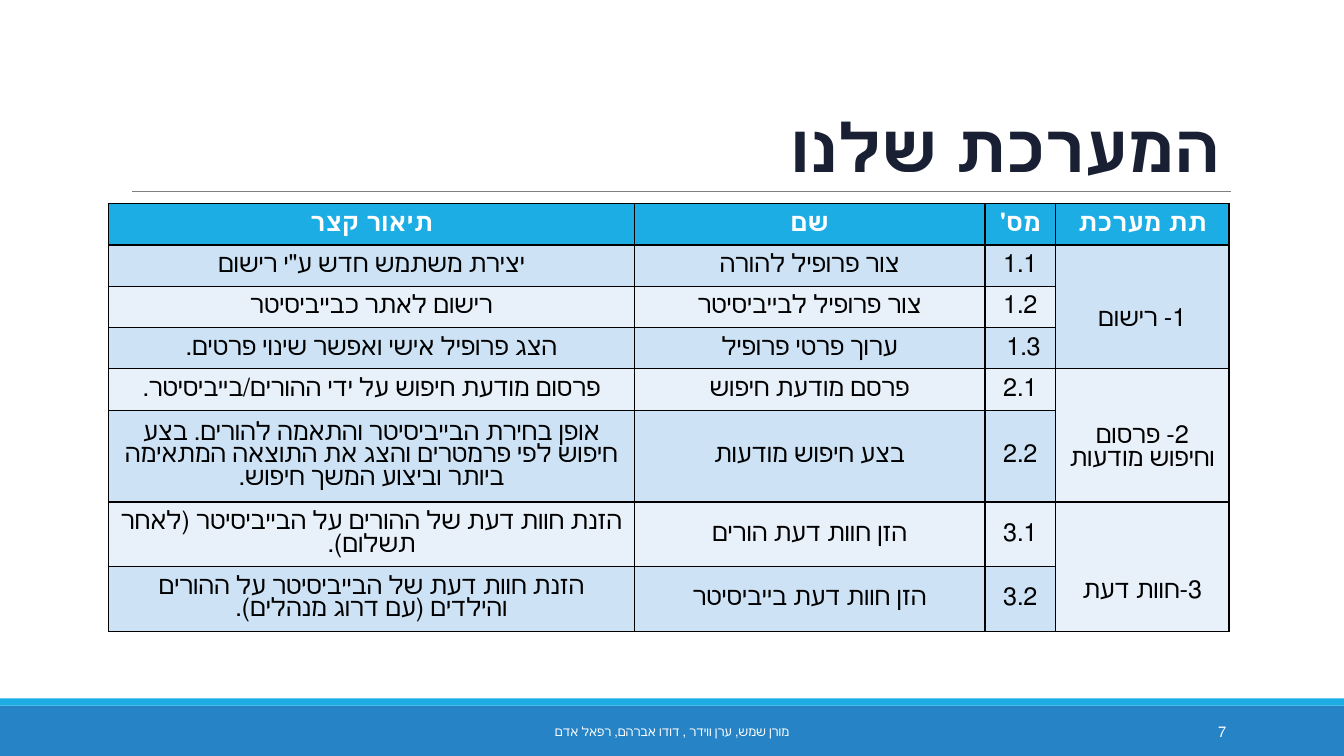
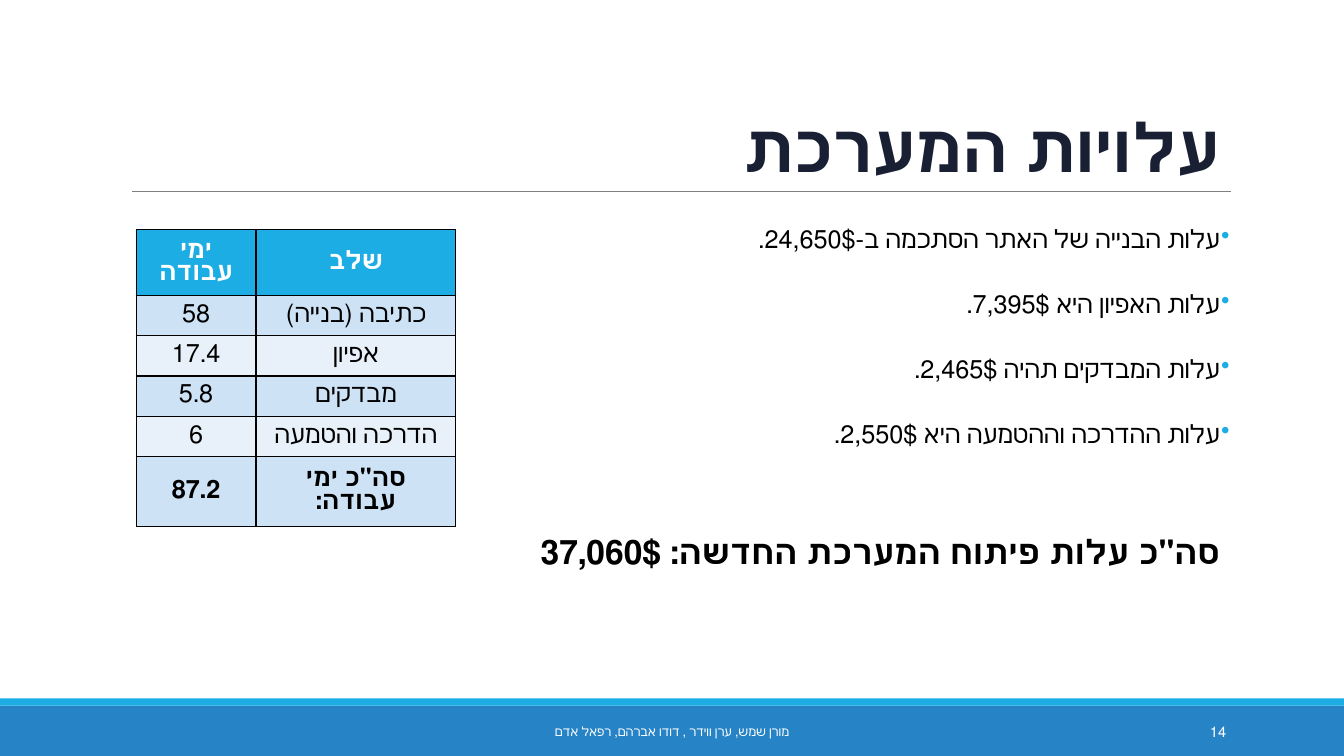
"""Build two right-to-left slides: a table of subsystem functions and the system's costs."""
import pptx
import pptx.dml.color
import pptx.enum.shapes
import pptx.enum.text
import pptx.oxml
import pptx.oxml.ns
import pptx.util

WIDTH, HEIGHT = 13.33, 7.5
MARGIN, CONTENT_WIDTH = 1.2, 11
FONT = "Arial"
BLUE, SKY, PALE, PALER = "2683C6", "1CADE4", "CDE3F5", "E8F1FA"
NAVY, GREY, BLACK, WHITE = "1A2034", "808080", "000000", "FFFFFF"
LINE = 0.25

FOOTER = "מורן שמש, ערן ווידר , דודו אברהם, רפאל אדם"

FUNCTIONS = {
    "place": (1.08, 2.02),
    "columns": (5.21, 3.48, 0.7, 1.72),
    "heights": (0.41,) * 5 + (0.85, 0.6, 0.6),
    "rows": [
        ("תיאור קצר", "שם", "מס'", "תת מערכת"),
        ("יצירת משתמש חדש ע\"י רישום", "צור פרופיל להורה", "1.1", "1- רישום"),
        ("רישום לאתר כבייביסיטר", "צור פרופיל לבייביסיטר", "1.2", ""),
        ("הצג פרופיל אישי ואפשר שינוי פרטים.", "ערוך פרטי פרופיל", "1.3 ", ""),
        ("פרסום מודעת חיפוש על ידי ההורים/בייביסיטר.", "פרסם מודעת חיפוש", "2.1",
         "2- פרסום וחיפוש מודעות"),
        ("אופן בחירת הבייביסיטר והתאמה להורים. בצע חיפוש לפי פרמטרים והצג את התוצאה "
         "המתאימה ביותר וביצוע המשך חיפוש.", "בצע חיפוש מודעות", "2.2", ""),
        ("הזנת חוות דעת של ההורים על הבייביסיטר (לאחר תשלום).", "הזן חוות דעת הורים",
         "3.1", "3-חוות דעת"),
        ("הזנת חוות דעת של הבייביסיטר על ההורים והילדים (עם דרוג מנהלים).",
         "הזן חוות דעת בייביסיטר", "3.2", ""),
    ],
    "bold_rows": {0},
    "groups": [(1, 3, 1), (4, 5, 1), (6, 7, 2)],
}

WORK_DAYS = {
    "place": (1.35, 2.28),
    "columns": (1.19, 1.98),
    "heights": (0.65, 0.4, 0.4, 0.4, 0.4, 0.69),
    "rows": [
        ("ימי עבודה", "שלב"),
        ("58", "כתיבה (בנייה)"),
        ("17.4", "אפיון"),
        ("5.8", "מבדקים"),
        ("6", "הדרכה והטמעה"),
        ("87.2", "סה\"כ ימי עבודה:"),
    ],
    "bold_rows": {0, 5},
    "groups": [],
}

COSTS = [
    "עלות הבנייה של האתר הסתכמה ב-24,650$.",
    "עלות האפיון היא 7,395$.",
    "עלות המבדקים תהיה 2,465$.",
    "עלות ההדרכה וההטמעה היא 2,550$.",
]
TOTAL_COST = "סה\"כ עלות פיתוח המערכת החדשה: 37,060$"

SLIDES = [
    {"title": "המערכת שלנו", "number": "7", "table": FUNCTIONS, "costs": []},
    {"title": "עלויות המערכת", "number": "14", "table": WORK_DAYS, "costs": COSTS},
]

ALIGN = pptx.enum.text.PP_ALIGN
ANCHOR = pptx.enum.text.MSO_ANCHOR
inches, points = pptx.util.Inches, pptx.util.Pt


def rgb(color):
    return pptx.dml.color.RGBColor.from_string(color)


def assign(target, values):
    for name, value in values.items():
        setattr(target, name, value)


def add_xml(parent, tag, **attributes):
    node = pptx.oxml.parse_xml(f"<a:{tag} {pptx.oxml.ns.nsdecls('a')}/>")
    for name, value in attributes.items():
        node.set(name, str(value))
    parent.append(node)
    return node


def write(paragraph, text, size, color, bold=False, tracking=None, **layout):
    assign(paragraph, layout)
    paragraph._p.get_or_add_pPr().set("rtl", "1")
    run = paragraph.add_run()
    run.text = text
    assign(run.font, {"size": points(size), "bold": bold, "name": FONT})
    run.font.color.rgb = rgb(color)
    properties = run.font._element
    properties.set("lang", "he-IL")
    if tracking is not None:
        properties.set("spc", str(round(tracking * 100)))


def add_text(slide, place, anchor=ANCHOR.MIDDLE, side=0.1):
    frame = slide.shapes.add_textbox(*map(inches, place)).text_frame
    assign(frame, {"word_wrap": True, "vertical_anchor": anchor,
                   "margin_left": inches(side), "margin_right": inches(side)})
    return frame


def add_band(slide, top, height, color):
    band = slide.shapes.add_shape(pptx.enum.shapes.MSO_SHAPE.RECTANGLE,
                                  *map(inches, (0, top, WIDTH, height)))
    band.shadow.inherit = False
    band.fill.solid()
    band.fill.fore_color.rgb = rgb(color)
    band.line.fill.background()


def add_frame(slide, title, number):
    add_band(slide, 7, 0.5, BLUE)
    add_band(slide, 6.93, 0.07, SKY)
    rule = slide.shapes.add_connector(pptx.enum.shapes.MSO_CONNECTOR.STRAIGHT,
                                      *map(inches, (1.31, 1.9, 12.21, 1.9)))
    rule.line.color.rgb = rgb(GREY)
    rule.line.width = points(0.5)
    add_xml(rule._element.spPr, "effectLst")
    heading = add_text(slide, (MARGIN, 0.31, CONTENT_WIDTH, 1.59), ANCHOR.BOTTOM)
    write(heading.paragraphs[0], title, 48, NAVY, True, -0.5,
          alignment=ALIGN.RIGHT, line_spacing=0.85)
    authors = add_text(slide, (4.03, 7.06, 5.27, 0.4))
    write(authors.paragraphs[0], FOOTER, 9, WHITE,
          alignment=ALIGN.CENTER, space_after=points(6))
    page = add_text(slide, (10.83, 7.06, 1.43, 0.4))
    write(page.paragraphs[0], number, 10.5, WHITE, alignment=ALIGN.RIGHT)


def style_cell(cell, color):
    properties = cell._tc.get_or_add_tcPr()
    for side in ("lnL", "lnR", "lnT", "lnB"):
        edge = add_xml(properties, side, w=points(1))
        add_xml(add_xml(edge, "solidFill"), "srgbClr", val=BLACK)
    cell.fill.solid()
    cell.fill.fore_color.rgb = rgb(color)
    cell.vertical_anchor = ANCHOR.MIDDLE


def add_grid(slide, content):
    columns, heights, rows = content["columns"], content["heights"], content["rows"]
    size = sum(columns), sum(heights)
    table = slide.shapes.add_table(len(rows), len(columns),
                                   *map(inches, content["place"] + size)).table
    for column, width in zip(table.columns, columns):
        column.width = inches(width)
    for r, (row, height) in enumerate(zip(rows, heights)):
        table.rows[r].height = inches(height)
        fill = (PALER, PALE)[r % 2] if r else SKY
        for c, text in enumerate(row):
            cell = table.cell(r, c)
            style_cell(cell, fill)
            if text:
                write(cell.text_frame.paragraphs[0], text, 18, BLACK if r else WHITE,
                      r in content["bold_rows"], alignment=ALIGN.CENTER,
                      line_spacing=0.9)
    last = len(columns) - 1
    for first_row, last_row, lines_above in content["groups"]:
        group = table.cell(first_row, last)
        group.merge(table.cell(last_row, last))
        group.margin_top = inches(0.05 + lines_above * LINE)


def add_costs(slide, costs):
    frame = add_text(slide, (MARGIN, 2.02, CONTENT_WIDTH, 4.4), ANCHOR.TOP, side=0)
    layout = {"alignment": ALIGN.RIGHT, "line_spacing": 1.5, "space_after": points(2)}
    hanging = inches(0.1)
    for i, cost in enumerate(costs):
        paragraph = frame.add_paragraph() if i else frame.paragraphs[0]
        write(paragraph, cost, 18, BLACK, space_before=points(12), **layout)
        properties = paragraph._p.get_or_add_pPr()
        for name, value in {"marL": hanging, "indent": -hanging}.items():
            properties.set(name, str(value))
        add_xml(add_xml(properties, "buClr"), "srgbClr", val=SKY)
        add_xml(properties, "buChar", char="•")
    total = frame.add_paragraph()
    write(total, TOTAL_COST, 24, BLACK, True, space_before=points(42), **layout)
    total._p.get_or_add_pPr().set("marL", str(hanging))


def main():
    deck = pptx.Presentation()
    assign(deck, {"slide_width": inches(WIDTH), "slide_height": inches(HEIGHT)})
    for content in SLIDES:
        slide = deck.slides.add_slide(deck.slide_layouts[6])
        add_frame(slide, content["title"], content["number"])
        if content["costs"]:
            add_costs(slide, content["costs"])
        add_grid(slide, content["table"])
    deck.save("out.pptx")


if __name__ == "__main__":
    main()
